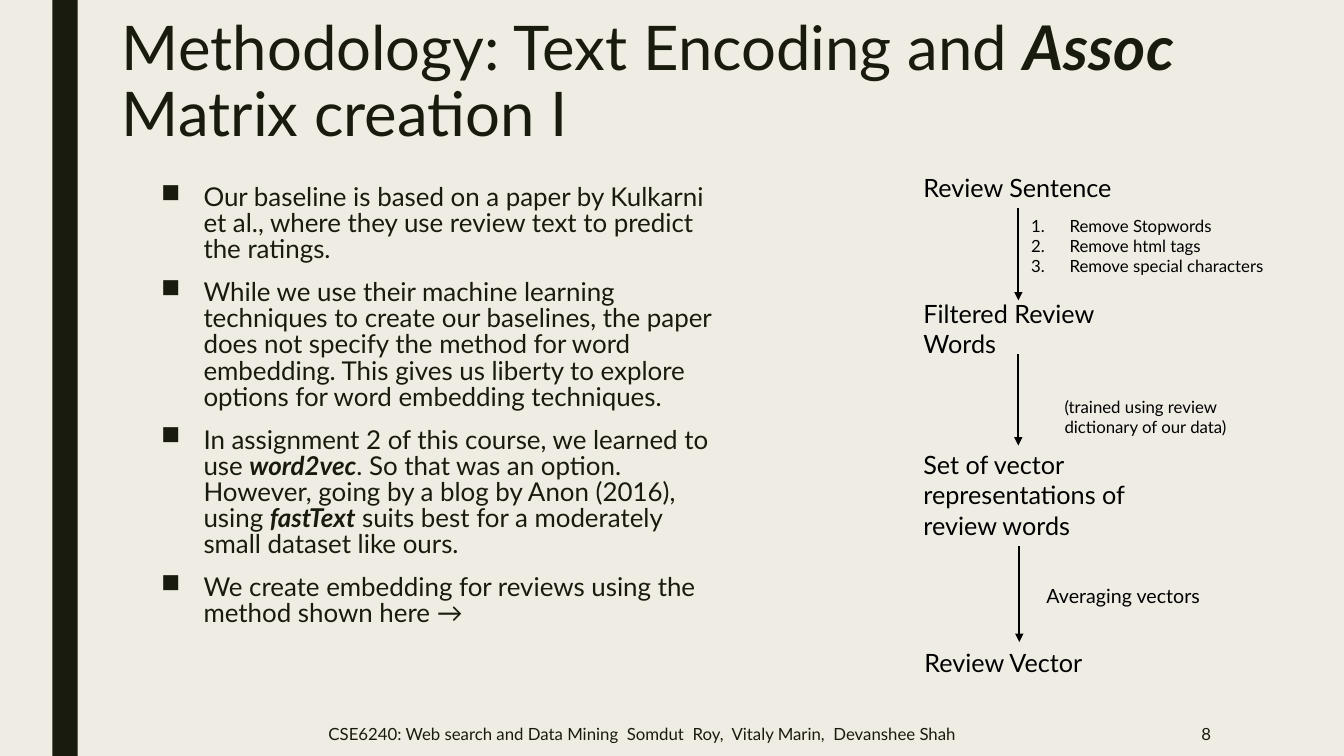
from lxml.etree import SubElement
from pptx import Presentation
from pptx.dml.color import RGBColor
from pptx.enum.shapes import MSO_CONNECTOR, MSO_SHAPE
from pptx.enum.text import MSO_ANCHOR, MSO_AUTO_SIZE, PP_ALIGN
from pptx.oxml.ns import qn
from pptx.util import Emu, Pt

SCALE = 9144
CREAM = RGBColor(0xEF, 0xED, 0xE3)
OLIVE = RGBColor(0x19, 0x1B, 0x0E)
BLACK = RGBColor(0, 0, 0)

TITLE = "Methodology: Text Encoding and *Assoc* Matrix creation I"
POINTS = [
    "Our baseline is based on a paper by Kulkarni et al., where they use review text to predict the ratings.",
    "While we use their machine learning techniques to create our baselines, the paper does not specify "
    "the method for word embedding. This gives us liberty to explore options for word embedding techniques.",
    "In assignment 2 of this course, we learned to use *word2vec*. So that was an option. However, going by "
    "a blog by Anon (2016), using *fastText* suits best for a moderately small dataset like ours.",
    "We create embedding for reviews using the method shown here →",
]
FILTERS = ["Remove Stopwords", "Remove html tags", "Remove special characters"]
FOOTER = "CSE6240: Web search and Data Mining  Somdut  Roy,  Vitaly Marin,  Devanshee Shah"


def px(*values):
    return [Emu(value * SCALE) for value in values]


class Deck:
    """Draws styled elements on the current slide."""

    def __init__(self, wide, high):
        self.file = Presentation()
        self.file.slide_width, self.file.slide_height = px(wide, high)
        self.slide = self.file.slides.add_slide(self.file.slide_layouts[5])
        fill = self.slide.background.fill
        fill.solid()
        fill.fore_color.rgb = CREAM
        self.font = "Lato"

    def bar(self, *place):
        shape = self.slide.shapes.add_shape(MSO_SHAPE.RECTANGLE, *px(*place))
        shape.shadow.inherit = False
        shape.fill.solid()
        shape.fill.fore_color.rgb = OLIVE
        shape.line.fill.background()

    def words(self, shape, lines, size, color, form=None, mark=None, indent=0):
        frame = shape.text_frame
        frame.word_wrap = True
        for index, line in enumerate(lines):
            para = frame.paragraphs[0] if index == 0 else frame.add_paragraph()
            for name, value in (form or {}).items():
                if index or name != "space_before":
                    setattr(para, name, value)
            if mark:
                props = para._p.get_or_add_pPr()
                props.set("marL", str(indent * SCALE))
                props.set("indent", str(-indent * SCALE))
                tag, key, value = mark
                SubElement(props, qn(tag)).set(key, value)
            for turn, part in enumerate(line.split("*")):
                run = para.add_run()
                run.text = part
                strong = turn % 2 == 1
                style = {"name": self.font, "size": Pt(size), "bold": strong, "italic": strong}
                for name, value in style.items():
                    setattr(run.font, name, value)
                run.font.color.rgb = color

    def title(self, text, place):
        shape = self.slide.shapes.title
        for name, value in zip(("left", "top", "width", "height"), px(*place)):
            setattr(shape, name, value)
        frame = {"vertical_anchor": MSO_ANCHOR.TOP, "auto_size": MSO_AUTO_SIZE.NONE}
        for name, value in frame.items():
            setattr(shape.text_frame, name, value)
        self.words(shape, [text], 44, OLIVE, {"line_spacing": 0.89, "alignment": PP_ALIGN.LEFT})

    def text(self, lines, place, size, color=BLACK, anchor=MSO_ANCHOR.TOP, **style):
        box = self.slide.shapes.add_textbox(*px(*place))
        box.text_frame.vertical_anchor = anchor
        self.words(box, lines, size, color, **style)
        return box

    def arrow(self, x, top, end, source=None, target=None):
        link = self.slide.shapes.add_connector(MSO_CONNECTOR.STRAIGHT, *px(x, top, x, end))
        if source:
            link.begin_connect(source, 2)
        if target:
            link.end_connect(target, 0)
        link.line.color.rgb = BLACK
        link.line.width = Pt(1.5)
        props = link._element.spPr
        SubElement(props.find(qn("a:ln")), qn("a:tailEnd")).set("type", "triangle")
        SubElement(props, qn("a:effectLst"))


def main():
    deck = Deck(1333, 750)
    deck.bar(52, 0, 25, 750)
    deck.title(TITLE, (111, 13, 1188, 160))
    deck.text(POINTS, (150, 179, 571, 463), 18.5, OLIVE, mark=("a:buChar", "char", "■"), indent=42,
              form={"line_spacing": 0.84, "space_before": Pt(10), "space_after": Pt(2)})
    deck.text([FOOTER], (316, 706, 687, 44), 12, OLIVE, MSO_ANCHOR.MIDDLE)
    deck.text(["8"], (1036, 706, 175, 44), 12, OLIVE, MSO_ANCHOR.MIDDLE,
              form={"alignment": PP_ALIGN.RIGHT})

    steps = [
        ("Review Sentence", (906, 166, 208, 40)),
        ("Filtered Review Words", (906, 291, 245, 71)),
        ("Set of vector representations of review words", (906, 441, 278, 101)),
        ("Review Vector", (907, 637, 208, 40)),
    ]
    first, *_, last = [deck.text([label], place, 18) for label, place in steps]
    deck.arrow(1010, 206, 298, source=first)
    deck.arrow(1010, 351, 442)
    deck.arrow(1011, 542, 637, target=last)

    deck.text(FILTERS, (1013, 209, 256, 71), 12, mark=("a:buAutoNum", "type", "arabicPeriod"), indent=38)
    deck.text(["(trained using review dictionary of our data)"], (1046, 389, 190, 50), 12)
    deck.text(["Averaging vectors"], (1028, 574, 245, 34), 14)
    deck.file.save("out.pptx")


if __name__ == "__main__":
    main()
